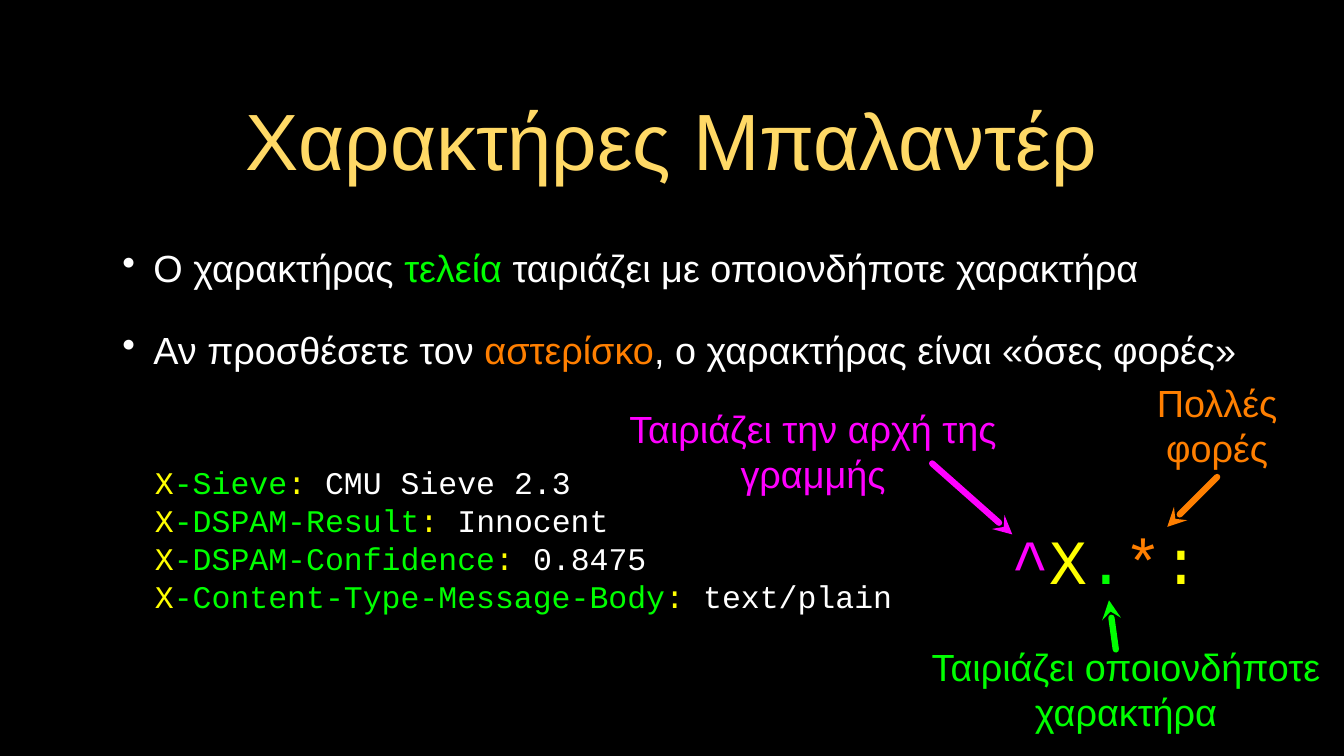
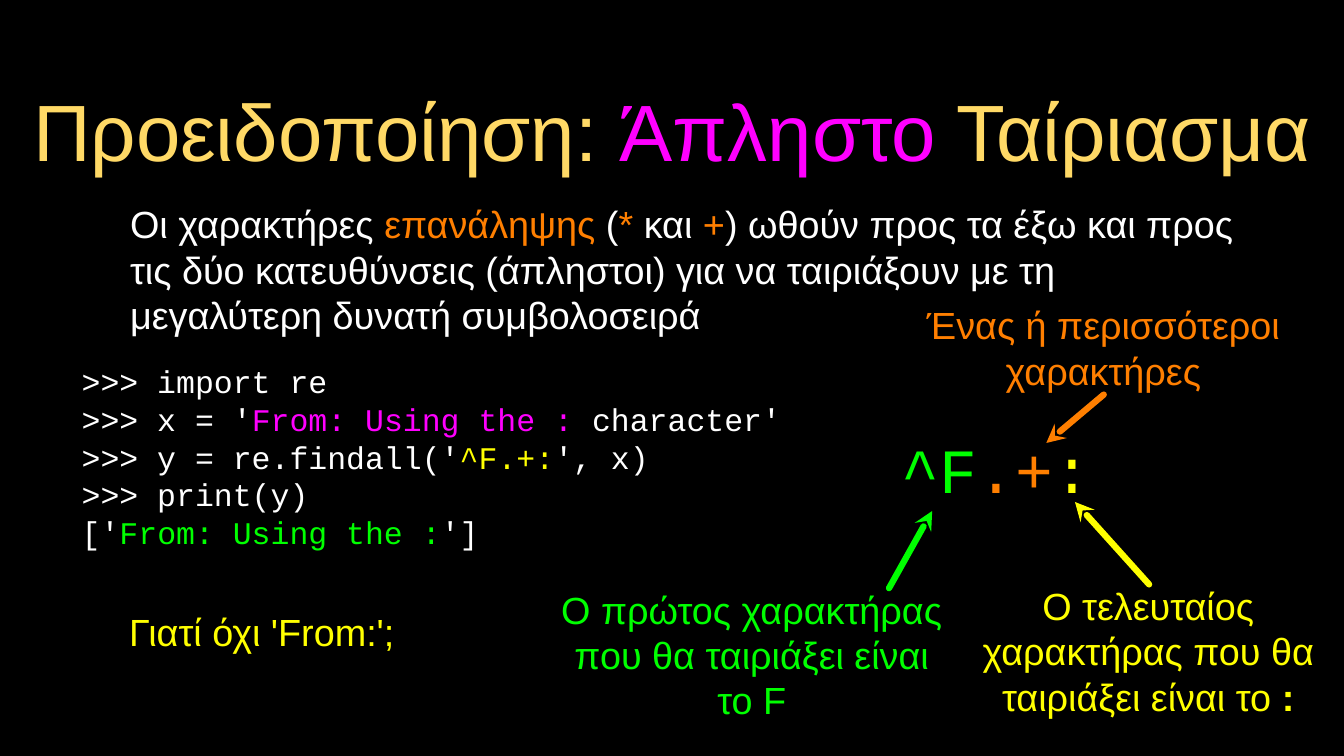
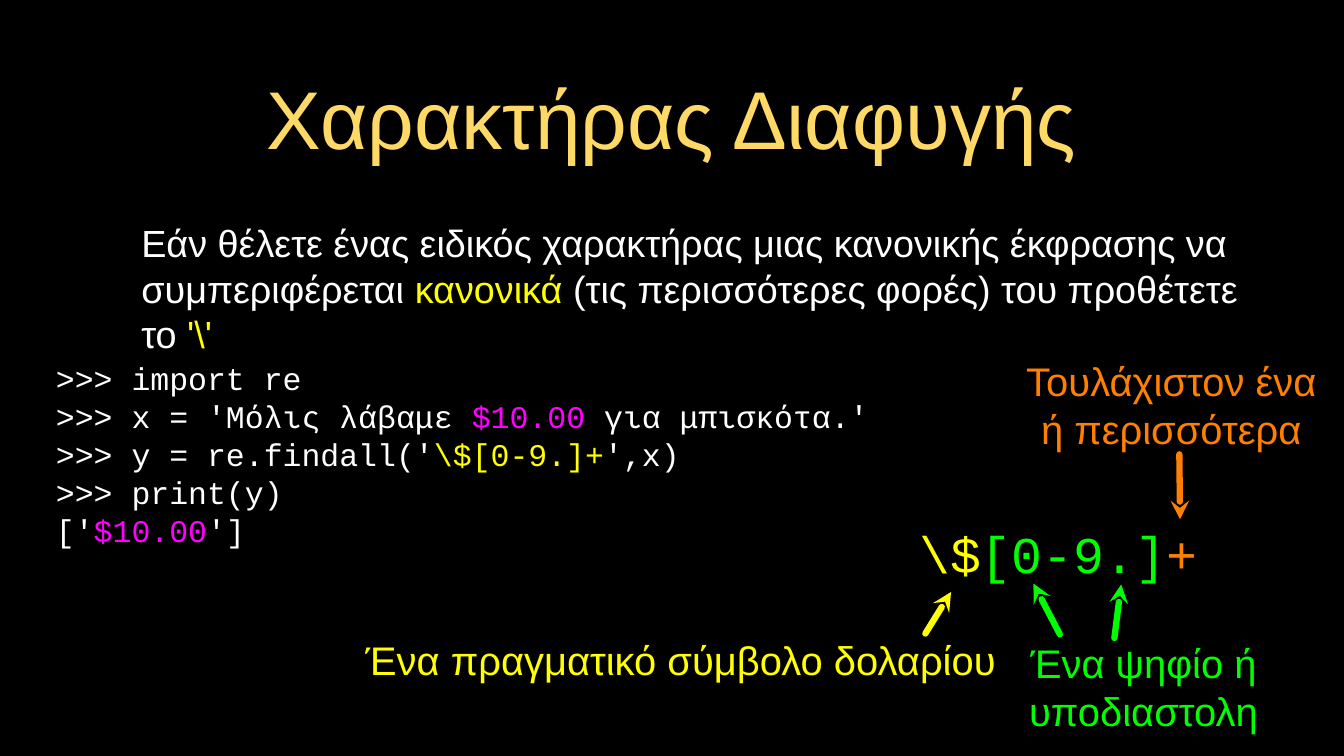
"""Build three slides on wildcards, greedy matching and escaping in regular expressions."""
from dataclasses import dataclass
from typing import NamedTuple

from lxml import etree
from pptx import Presentation
from pptx.dml.color import RGBColor
from pptx.enum.shapes import MSO_CONNECTOR
from pptx.enum.text import MSO_ANCHOR, PP_ALIGN
from pptx.oxml.ns import qn
from pptx.util import Pt

STRAIGHT = MSO_CONNECTOR.STRAIGHT
TOP, MIDDLE = MSO_ANCHOR.TOP, MSO_ANCHOR.MIDDLE
LEFT, CENTER = PP_ALIGN.LEFT, PP_ALIGN.CENTER

BLACK = RGBColor(0x00, 0x00, 0x00)
WHITE = RGBColor(0xFF, 0xFF, 0xFF)
GOLD = RGBColor(0xFF, 0xD9, 0x66)
GREEN = RGBColor(0x00, 0xFF, 0x00)
ORANGE = RGBColor(0xFF, 0x7F, 0x00)
YELLOW = RGBColor(0xFF, 0xFF, 0x00)
MAGENTA = RGBColor(0xFF, 0x00, 0xFF)

SANS, MONO = "Arial", "Courier New"
LINE_HEIGHT = 1.2
BULLET_INDENT = 29.5


class Span(NamedTuple):
    """A run of text in one colour."""
    text: str
    color: RGBColor = WHITE
    bold: bool = False


class Area(NamedTuple):
    """A rectangle in points."""
    left: float
    top: float
    width: float
    height: float


Paragraph = list[Span]


@dataclass
class Label:
    """A centred remark in one colour."""
    area: Area
    spans: Paragraph


@dataclass
class Arrow:
    """An arrow from a remark to the symbol it explains."""
    tip: tuple[float, float]
    tail: tuple[float, float]
    color: RGBColor


@dataclass
class Lesson:
    """Everything on one slide."""
    title_area: Area
    title: Paragraph
    body_area: Area
    body: list[Paragraph]
    code_area: Area
    code: list[Paragraph]
    regex_area: Area
    regex: Paragraph
    labels: list[Label]
    arrows: list[Arrow]
    title_size: float = 76
    label_size: float = 36
    regex_size: float = 60
    regex_align: PP_ALIGN = LEFT
    inset: float = 3
    body_anchor: MSO_ANCHOR = TOP
    body_indent: float = 0
    bulleted: bool = False


def set_indent(para, margin: float, bulleted: bool) -> None:
    """Set the left margin and, if asked, a hanging white bullet."""
    properties = para._p.get_or_add_pPr()
    properties.set("marL", str(Pt(margin)))
    properties.set("indent", str(Pt(-BULLET_INDENT) if bulleted else 0))
    if bulleted:
        color = etree.SubElement(properties, qn("a:buClr"))
        etree.SubElement(color, qn("a:srgbClr"), val=str(WHITE))
        etree.SubElement(properties, qn("a:buChar"), char="•")


def add_text(slide, area: Area, paragraphs: list[Paragraph], *, size: float,
             font: str = SANS, align: PP_ALIGN = LEFT, anchor: MSO_ANCHOR = MIDDLE,
             inset: float = 0, indent: float = 0, bulleted: bool = False,
             gap: float = 0) -> None:
    """Add a text box of coloured paragraphs."""
    frame = slide.shapes.add_textbox(*map(Pt, area)).text_frame
    frame.word_wrap = True
    frame.vertical_anchor = anchor
    frame.margin_left = frame.margin_right = Pt(inset)
    frame.margin_top = frame.margin_bottom = Pt(inset)
    for index, spans in enumerate(paragraphs):
        para = frame.add_paragraph() if index else frame.paragraphs[0]
        if indent:
            set_indent(para, indent, bulleted)
        para.alignment = align
        para.line_spacing = Pt(size * LINE_HEIGHT)
        if index and gap:
            para.space_before = Pt(gap)
        for span in spans:
            run = para.add_run()
            run.text = span.text
            run.font.name = font
            run.font.size = Pt(size)
            run.font.bold = span.bold
            run.font.color.rgb = span.color


def add_arrow(slide, arrow: Arrow) -> None:
    """Add a thick arrow with a round end and a stealth head at its tip."""
    connector = slide.shapes.add_connector(
        STRAIGHT, *map(Pt, arrow.tip), *map(Pt, arrow.tail))
    connector.line.width = Pt(6)
    connector.line.color.rgb = arrow.color
    outline = connector.line._get_or_add_ln()
    outline.set("cap", "rnd")
    etree.SubElement(outline, qn("a:round"))
    etree.SubElement(outline, qn("a:headEnd"), type="stealth")
    etree.SubElement(connector._element.spPr, qn("a:effectLst"))


def add_lesson(deck, lesson: Lesson) -> None:
    """Add one slide with title, body, code, regex, labels and arrows."""
    slide = deck.slides.add_slide(deck.slide_layouts[6])
    add_text(slide, lesson.title_area, [lesson.title], size=lesson.title_size,
             align=CENTER, inset=lesson.inset)
    add_text(slide, lesson.body_area, lesson.body, size=36, anchor=lesson.body_anchor,
             inset=lesson.inset, indent=lesson.body_indent, bulleted=lesson.bulleted,
             gap=35)
    add_text(slide, lesson.code_area, lesson.code, size=30, font=MONO)
    add_text(slide, lesson.regex_area, [lesson.regex], size=lesson.regex_size,
             font=MONO, align=lesson.regex_align)
    for label in lesson.labels:
        add_text(slide, label.area, [label.spans], size=lesson.label_size, align=CENTER)
    for arrow in lesson.arrows:
        add_arrow(slide, arrow)


def header_line(name: str, value: str) -> Paragraph:
    """Colour a mail header the way the regex matches it."""
    return [Span("X", YELLOW), Span(name, GREEN), Span(": ", YELLOW), Span(value)]


def session(subject: Paragraph, pattern: str, closing: str, found: Span) -> list[Paragraph]:
    """Lay out an interactive findall session."""
    return [
        [Span(">>> import re")],
        [Span(">>> x = '"), *subject],
        [Span(">>> y = re.findall('"), Span(pattern, YELLOW), Span(closing)],
        [Span(">>> print(y)")],
        [Span("['"), found, Span("']")],
    ]


WILDCARDS = Lesson(
    title_area=Area(90.7, 64.1, 1097.3, 136.1),
    title=[Span("Χαρακτήρες Μπαλαντέρ", GOLD)],
    body_area=Area(84.2, 205.2, 1111.7, 177.8),
    body=[
        [Span("Ο χαρακτήρας "), Span("τελεία ", GREEN),
         Span("ταιριάζει με οποιονδήποτε χαρακτήρα")],
        [Span("Αν προσθέσετε τον "), Span("αστερίσκο", ORANGE),
         Span(", ο χαρακτήρας είναι «όσες φορές»")],
    ],
    body_anchor=MIDDLE, body_indent=2 * BULLET_INDENT, bulleted=True,
    code_area=Area(147.6, 426.2, 748.8, 174.2),
    code=[
        header_line("-Sieve", "CMU Sieve 2.3"),
        header_line("-DSPAM-Result", "Innocent"),
        header_line("-DSPAM-Confidence", "0.8475"),
        header_line("-Content-Type-Message-Body", "text/plain"),
    ],
    regex_area=Area(932.4, 494.6, 241.9, 77),
    regex=[Span("^", MAGENTA), Span("X", YELLOW), Span(".", GREEN),
           Span("*", ORANGE), Span(":", YELLOW)],
    regex_align=CENTER,
    labels=[
        Label(Area(578.9, 404.6, 391, 49), [Span("Ταιριάζει την αρχή της γραμμής", MAGENTA)]),
        Label(Area(882.7, 631.4, 379.4, 49), [Span("Ταιριάζει οποιονδήποτε χαρακτήρα", GREEN)]),
        Label(Area(1072.1, 355, 174.2, 99.4), [Span("Πολλές φορές", ORANGE)]),
    ],
    arrows=[
        Arrow((1056.2, 571.7), (1062.7, 618.5), GREEN),
        Arrow((1111.7, 501.8), (1159.2, 454.3), ORANGE),
        Arrow((964.1, 509), (887.8, 441.4), MAGENTA),
    ],
)

GREEDY = Lesson(
    title_area=Area(20.9, 55.4, 1238.4, 136.1),
    title=[Span("Προειδοποίηση: ", GOLD), Span("Άπληστο", MAGENTA), Span(" Ταίριασμα", GOLD)],
    body_area=Area(91.4, 188.6, 1097.3, 123.1),
    body=[[
        Span("Οι χαρακτήρες "), Span("επανάληψης", ORANGE), Span(" ("), Span("* ", ORANGE),
        Span("και "), Span("+", ORANGE),
        Span(") ωθούν προς τα έξω και προς τις δύο κατευθύνσεις (άπληστοι) "
             "για να ταιριάξουν με τη μεγαλύτερη δυνατή συμβολοσειρά"),
    ]],
    body_indent=BULLET_INDENT,
    code_area=Area(77.8, 328.3, 789.8, 213.1),
    code=session([Span("From: Using the :", MAGENTA), Span(" character'")],
                 "^F.+:", "', x)", Span("From: Using the :", GREEN)),
    regex_area=Area(859, 406.1, 203.8, 80.6),
    regex=[Span("^F", GREEN), Span(".+", ORANGE), Span(":", YELLOW)],
    labels=[
        Label(Area(846, 285.8, 409.7, 90), [Span("Ένας ή περισσότεροι χαρακτήρες", ORANGE)]),
        Label(Area(529.9, 578.2, 372.2, 90),
              [Span("Ο πρώτος χαρακτήρας που θα ταιριάξει είναι το F", GREEN)]),
        Label(Area(929.5, 574.6, 328.3, 90),
              [Span("Ο τελευταίος χαρακτήρας που θα ταιριάξει είναι το ", YELLOW),
               Span(":", YELLOW, bold=True)]),
        Label(Area(90.7, 579.6, 317.5, 43.2), [Span("Γιατί όχι 'From:';", YELLOW)]),
    ],
    arrows=[
        Arrow((996.5, 421.9), (1051.2, 375.8), ORANGE),
        Arrow((887.8, 486.7), (846.7, 560.2), GREEN),
        Arrow((1023.8, 478.1), (1094.4, 556.6), YELLOW),
    ],
)

ESCAPING = Lesson(
    title_area=Area(90.7, 51.1, 1097.3, 119.5),
    title=[Span("Χαρακτήρας Διαφυγής", GOLD)],
    title_size=78, label_size=38, regex_size=49, inset=4.3,
    body_area=Area(90.7, 205.2, 1097.3, 449.3),
    body=[[
        Span("Εάν θέλετε ένας ειδικός χαρακτήρας μιας κανονικής έκφρασης να συμπεριφέρεται "),
        Span("κανονικά", YELLOW),
        Span(" (τις περισσότερες φορές) του προθέτετε το "), Span(r"'\'", YELLOW),
    ]],
    body_indent=39.6,
    code_area=Area(53.3, 337.7, 852.5, 189.4),
    code=session([Span("Μόλις λάβαμε "), Span("$10.00 ", MAGENTA), Span("για μπισκότα.'")],
                 r"\$[0-9.]+", "',x)", Span("$10.00", MAGENTA)),
    regex_area=Area(875.5, 494.6, 265.7, 64.1),
    regex=[Span(r"\$", YELLOW), Span("[0-9.]", GREEN), Span("+", ORANGE)],
    labels=[
        Label(Area(938.2, 627.8, 301.7, 51.8), [Span("Ένα ψηφίο ή υποδιαστολη", GREEN)]),
        Label(Area(345.6, 602.6, 605.5, 51.8), [Span("Ένα πραγματικό σύμβολο δολαρίου", YELLOW)]),
        Label(Area(964.8, 337, 301.7, 95.8), [Span("Τουλάχιστον ένα ή περισσότερα", ORANGE)]),
    ],
    arrows=[
        Arrow((905.8, 563.8), (881.3, 603.4), YELLOW),
        Arrow((984.2, 555.8), (1009.4, 604.1), GREEN),
        Arrow((1067.8, 556.6), (1061.3, 607.7), GREEN),
        Arrow((1123.9, 494.6), (1123.2, 432.7), ORANGE),
    ],
)


def main() -> None:
    """Build the deck and save it."""
    deck = Presentation()
    deck.slide_width, deck.slide_height = Pt(1280), Pt(720)
    background = deck.slide_master.background.fill
    background.solid()
    background.fore_color.rgb = BLACK
    for lesson in (WILDCARDS, GREEDY, ESCAPING):
        add_lesson(deck, lesson)
    deck.save("out.pptx")


if __name__ == "__main__":
    main()
